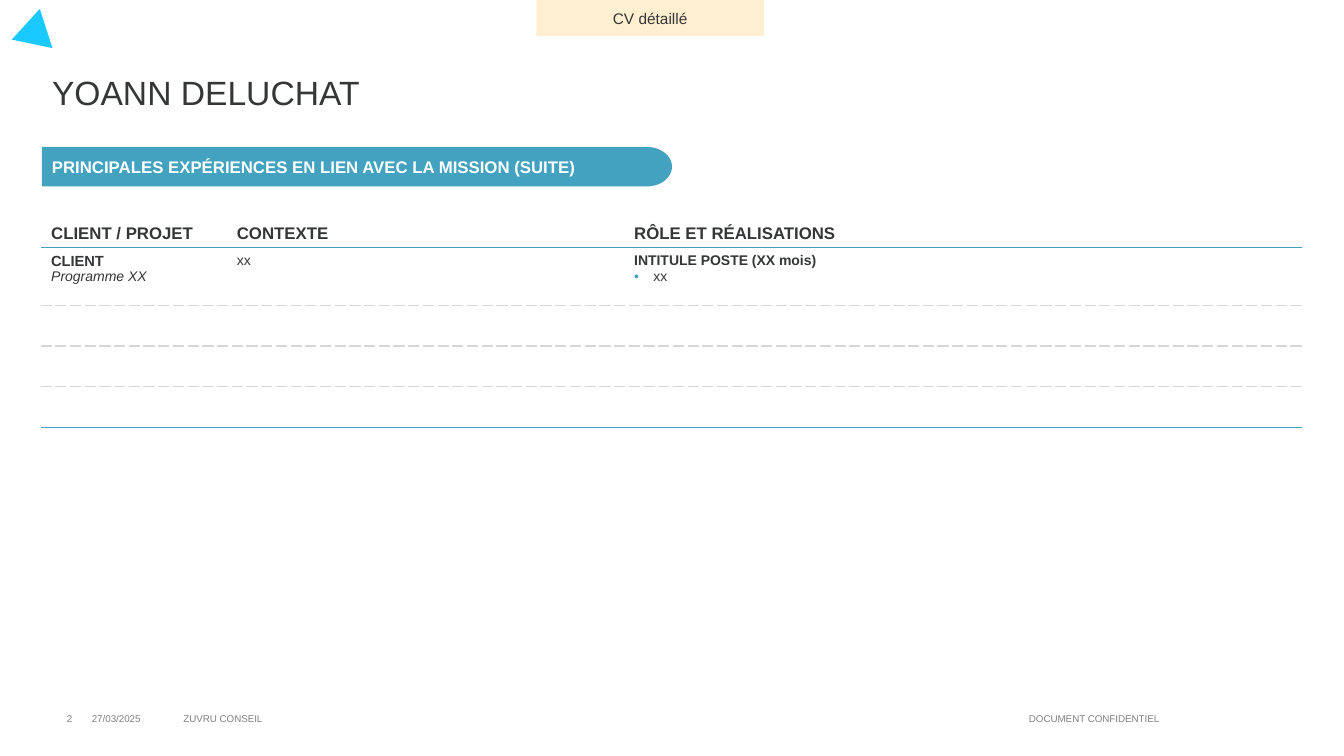
from dataclasses import dataclass
from math import cos, pi, sin

from lxml.etree import SubElement
from pptx import Presentation
from pptx.dml.color import RGBColor
from pptx.enum.shapes import MSO_SHAPE as Shape
from pptx.enum.text import MSO_ANCHOR as Anchor, PP_ALIGN as Align
from pptx.oxml.ns import qn
from pptx.util import Inches, Pt


@dataclass(frozen=True)
class Theme:
    font: str = "Arial"
    ink: str = "353637"
    teal: str = "43A2BF"
    cyan: str = "1AC9FF"
    sand: str = "FFEFD1"
    rule: str = "D6D7D8"
    grey: str = "808080"
    white: str = "FFFFFF"
    title: float = 24
    heading: float = 12
    tag: float = 11
    client: float = 10.5
    body: float = 10
    footer: float = 7


@dataclass(frozen=True)
class Box:
    """Left, top, width and height in grid units."""
    left: float
    top: float
    width: float
    height: float

    def emu(self) -> tuple:
        return tuple(map(grid, (self.left, self.top, self.width, self.height)))


@dataclass(frozen=True)
class Line:
    text: str
    size: float
    color: str = Theme.ink
    bold: bool = False
    italic: bool = False
    align: Align = Align.LEFT
    bullet: bool = False
    tab: bool = False


@dataclass(frozen=True)
class FooterItem:
    text: str
    left: float
    width: float
    align: Align = Align.LEFT
    wrap: bool = True


THEME = Theme()
WIDTH, HEIGHT = 13.33, 7.5
COLUMNS = 32  # square grid: 32 columns by 18 rows
MARGIN, CONTENT = 1, 30


def grid(units: float) -> int:
    return Inches(units * WIDTH / COLUMNS)


def rgb(color: str) -> RGBColor:
    return RGBColor.from_string(color)


def write(frame, lines: list[Line]) -> None:
    for index, line in enumerate(lines):
        paragraph = frame.add_paragraph() if index else frame.paragraphs[0]
        paragraph.text = line.text
        paragraph.alignment = line.align
        if line.bullet:
            add_bullet(paragraph)
        if line.tab:
            tabs = SubElement(paragraph._p.get_or_add_pPr(), qn("a:tabLst"))
            SubElement(tabs, qn("a:tab"), pos=str(Inches(0.19)), algn="l")
        font = paragraph.font
        font.name, font.size = THEME.font, Pt(line.size)
        font.bold, font.italic = line.bold, line.italic
        font.color.rgb = rgb(line.color)


def add_bullet(paragraph) -> None:
    properties = paragraph._p.get_or_add_pPr()
    properties.set("marL", str(Inches(0.19)))
    properties.set("indent", str(-Inches(0.19)))
    color = SubElement(properties, qn("a:buClr"))
    SubElement(color, qn("a:srgbClr"), val=THEME.teal)
    SubElement(properties, qn("a:buFont"), typeface=THEME.font)
    SubElement(properties, qn("a:buChar"), char="•")


def paint(shape, color: str) -> None:
    shape.shadow.inherit = False
    shape.fill.solid()
    shape.fill.fore_color.rgb = rgb(color)
    shape.line.fill.background()


def label(shape, line: Line, wrap: bool = True) -> None:
    frame = shape.text_frame
    frame.word_wrap = wrap
    frame.vertical_anchor = Anchor.MIDDLE
    write(frame, [line])


def add_preset(slide, kind: Shape, box: Box, color: str):
    shape = slide.shapes.add_shape(kind, *box.emu())
    paint(shape, color)
    return shape


def add_ribbon(slide, box: Box, cap: float):
    """Band with a square left end and an elliptical right end."""
    radius = box.height / 2
    center_x, center_y = box.left + box.width - cap, box.top + radius
    angles = [-pi / 2 + pi * step / 32 for step in range(33)]
    arc = [(grid(center_x + cap * cos(a)), grid(center_y + radius * sin(a)))
           for a in angles]
    left, top, _, height = box.emu()
    builder = slide.shapes.build_freeform(left, top)
    builder.add_line_segments(arc + [(left, top + height)])
    ribbon = builder.convert_to_shape()
    paint(ribbon, THEME.teal)
    return ribbon


def add_border(cell, side: str, color: str, dashed: bool = False) -> None:
    border = SubElement(cell._tc.get_or_add_tcPr(), qn(f"a:ln{side}"), w=str(Pt(1)))
    fill = SubElement(border, qn("a:solidFill"))
    SubElement(fill, qn("a:srgbClr"), val=color)
    SubElement(border, qn("a:prstDash"), val="sysDash" if dashed else "solid")


def add_experiences(slide, box: Box, widths: list[float], heights: list[float],
                    content: list[list[list[Line]]]) -> None:
    last_row, last_column = len(heights) - 1, len(widths) - 1
    table = slide.shapes.add_table(len(heights), len(widths), *box.emu()).table
    table.first_row = table.horz_banding = False
    for column, width in zip(table.columns, widths):
        column.width = grid(width)
    for row, height in zip(table.rows, heights):
        row.height = grid(height)
    # Rule r lies above row r: solid under the header and at the foot
    rules = [(THEME.teal, False) if r in (1, last_row + 1) else (THEME.rule, True)
             for r in range(last_row + 2)]
    for r in range(last_row + 1):
        for c in range(last_column + 1):
            cell = table.cell(r, c)
            if c > 0:
                add_border(cell, "L", THEME.white)
            if c < last_column:
                add_border(cell, "R", THEME.white)
            if r > 0:
                add_border(cell, "T", *rules[r])
            add_border(cell, "B", *rules[r + 1])
            cell.fill.background()
            cell.vertical_anchor = Anchor.TOP if r else Anchor.MIDDLE
            write(cell.text_frame, content[r][c] if r < len(content)
                  else [Line("", THEME.body)])


def main() -> None:
    deck = Presentation()
    deck.slide_width, deck.slide_height = Inches(WIDTH), Inches(HEIGHT)
    slide = deck.slides.add_slide(deck.slide_layouts[5])

    # Corner mark and document tag
    corner = add_preset(slide, Shape.ISOSCELES_TRIANGLE,
                        Box(0.2, 0.38, 0.98, 0.86), THEME.cyan)
    corner.rotation = 252.2
    tag = add_preset(slide, Shape.RECTANGLE, Box(12.77, 0, 5.42, 0.86), THEME.sand)
    label(tag, Line("CV détaillé", THEME.tag, align=Align.CENTER))

    # Consultant's name
    name = slide.shapes.title
    name.left, name.top, name.width, name.height = Box(MARGIN, 1.27, CONTENT, 1.82).emu()
    label(name, Line("YOANN DELUCHAT", THEME.title))

    # Section heading
    section = add_ribbon(slide, Box(MARGIN, 3.5, CONTENT / 2, 0.94), cap=0.6)
    label(section, Line("PRINCIPALES EXPÉRIENCES EN LIEN AVEC LA MISSION (SUITE)",
                        THEME.heading, THEME.white, bold=True))

    # Experience table
    headings = ["CLIENT / PROJET", "CONTEXTE", "RÔLE ET RÉALISATIONS"]
    experience = [
        [Line("CLIENT", THEME.client, bold=True),
         Line("Programme XX", THEME.body, italic=True)],
        [Line("xx", THEME.body)],
        [Line("INTITULE POSTE (XX mois)", THEME.body, bold=True, tab=True),
         Line("xx", THEME.body, bullet=True, tab=True)],
    ]
    header = [[Line(text, THEME.heading, bold=True)] for text in headings]
    add_experiences(slide, Box(0.98, 5.21, CONTENT, 4.96), [4.42, 9.46, 16.12],
                    [0.68, 1.37] + 3 * [0.97], [header, experience])

    # Footer
    for item in (
        FooterItem("2", MARGIN, 0.96, Align.RIGHT),
        FooterItem("27/03/2025", 1.95, 2.16),
        FooterItem("ZUVRU CONSEIL", 4.13, 20.14),
        FooterItem("DOCUMENT CONFIDENTIEL", 24.24, 3.62, Align.CENTER, wrap=False),
    ):
        note = slide.shapes.add_textbox(*Box(item.left, 16.63, item.width, 0.96).emu())
        label(note, Line(item.text, THEME.footer, THEME.grey, align=item.align), item.wrap)

    deck.save("out.pptx")


if __name__ == "__main__":
    main()
